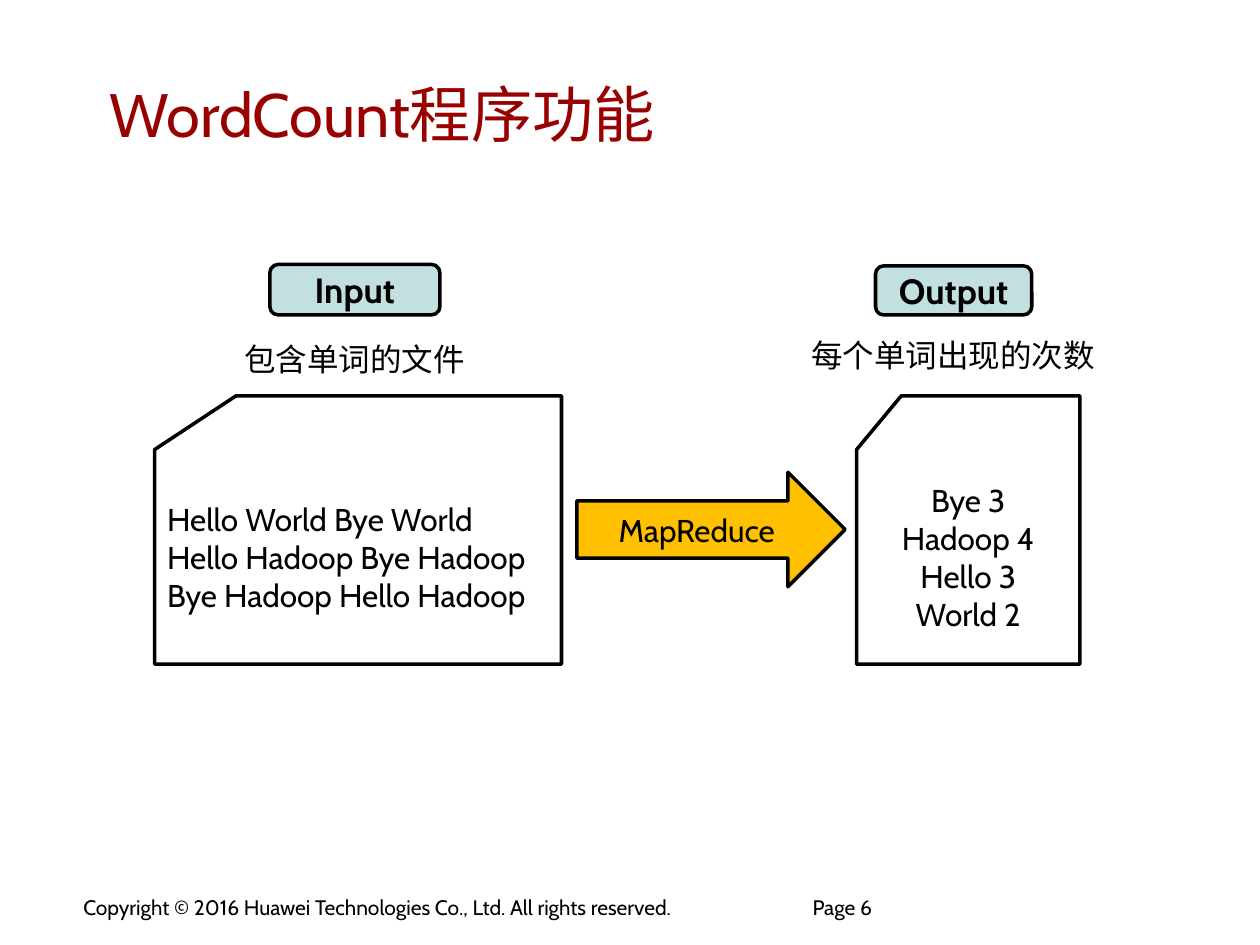
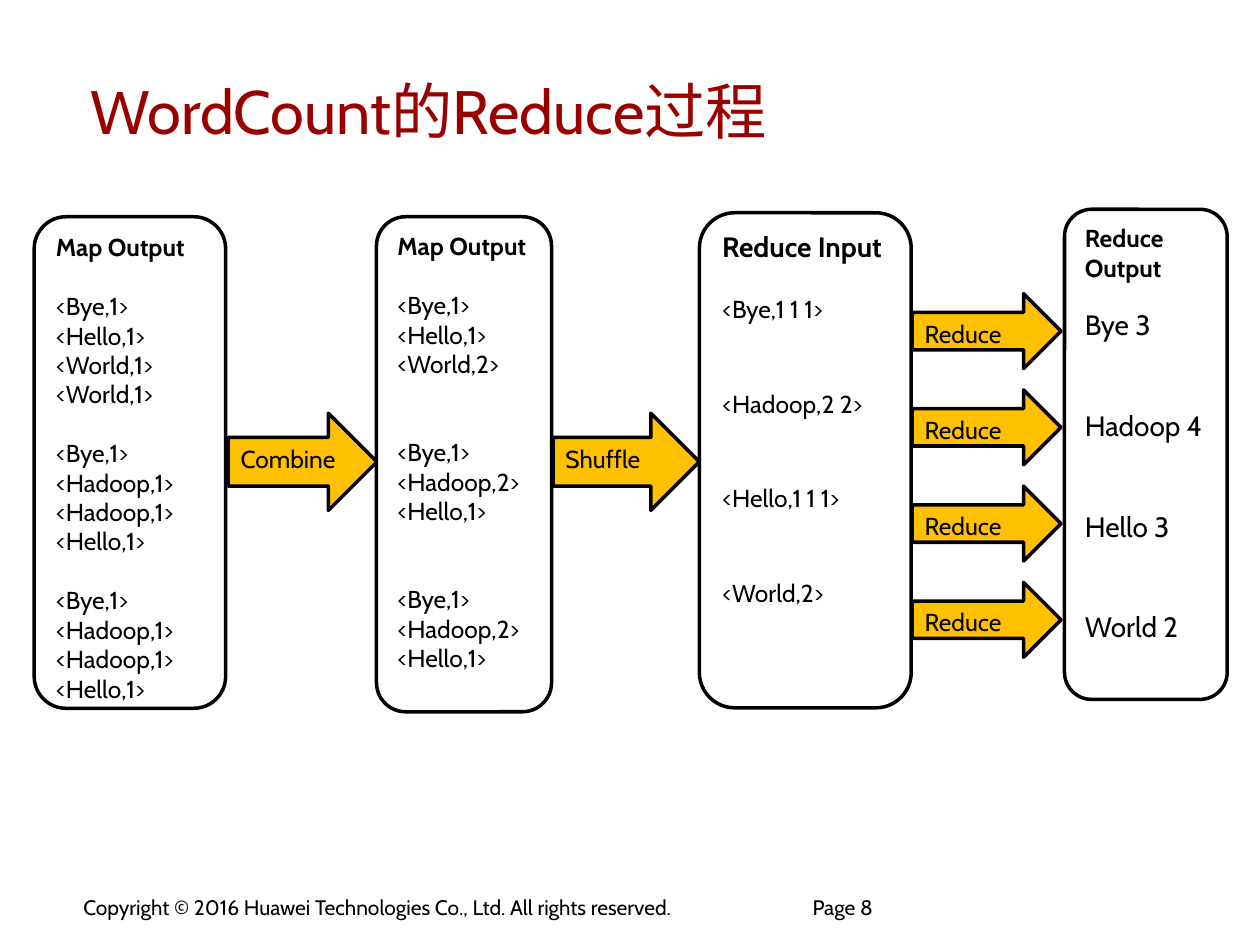
from dataclasses import dataclass

from pptx import Presentation
from pptx import util as u
from pptx.dml.color import RGBColor
from pptx.enum import shapes, text

FONT = "Cabin"
BLACK, WHITE, RED = "000000", "FFFFFF", "990000"
TEAL, AMBER = "C2E0E0", "FFC000"
LEFT, CENTER = text.PP_ALIGN.LEFT, text.PP_ALIGN.CENTER
TOP, MIDDLE = text.MSO_ANCHOR.TOP, text.MSO_ANCHOR.MIDDLE
ROUND = shapes.MSO_SHAPE.ROUNDED_RECTANGLE
CARD = shapes.MSO_SHAPE.FLOWCHART_CARD
ARROW = shapes.MSO_SHAPE.RIGHT_ARROW
COPYRIGHT = "Copyright © 2016 Huawei Technologies Co., Ltd. All rights reserved."
REDUCE_PITCH = 1.94


@dataclass
class Box:
    left: float
    top: float
    width: float
    height: float

    def lengths(self) -> list:
        return [u.Cm(v) for v in (self.left, self.top, self.width, self.height)]


@dataclass
class Line:
    text: str
    size: float = 14
    bold: bool = False
    before: float = 0
    exact: float = 0


@dataclass
class Block:
    kind: shapes.MSO_SHAPE
    box: Box
    fill: str
    lines: list[Line]
    align: text.PP_ALIGN = LEFT
    anchor: text.MSO_ANCHOR = TOP


def rgb(value: str) -> RGBColor:
    return RGBColor.from_string(value)


def write(tf, lines: list[Line], color: str = BLACK, align=LEFT, anchor=TOP) -> None:
    tf.text = "\n".join(line.text for line in lines)
    tf.vertical_anchor = anchor
    for p, line in zip(tf.paragraphs, lines):
        p.alignment = align
        p.space_before = u.Pt(line.before)
        if line.exact:
            p.line_spacing = u.Pt(line.exact)
        for r in p.runs:
            r.font.name = FONT
            r.font.size = u.Pt(line.size)
            r.font.bold = line.bold
            r.font.color.rgb = rgb(color)


def tighten(tf) -> None:
    tf.margin_left = tf.margin_right = u.Cm(0.23)
    tf.margin_top = tf.margin_bottom = u.Cm(0.11)


def add_label(s, box: Box, content: str, size: float):
    tf = s.shapes.add_textbox(*box.lengths()).text_frame
    tf.word_wrap = False
    write(tf, [Line(content, size)])
    return tf


def add_block(s, block: Block) -> None:
    sp = s.shapes.add_shape(block.kind, *block.box.lengths())
    sp.shadow.inherit = False
    sp.fill.solid()
    sp.fill.fore_color.rgb = rgb(block.fill)
    sp.line.color.rgb = rgb(BLACK)
    sp.line.width = u.Pt(2)
    write(sp.text_frame, block.lines, align=block.align, anchor=block.anchor)


def add_slide(prs, title: str, left: float, top: float, page: int):
    s = prs.slides.add_slide(prs.slide_layouts[5])
    sp = s.shapes.title
    sp.left, sp.top, sp.width, sp.height = Box(left, top, 21.51, 2.41).lengths()
    tf = sp.text_frame
    tf.auto_size = text.MSO_AUTO_SIZE.NONE
    tighten(tf)
    write(tf, [Line(title, 35)], RED, anchor=MIDDLE)
    tighten(add_label(s, Box(1.45, 17.93, 14.15, 0.75), COPYRIGHT, 12))
    tighten(add_label(s, Box(16.15, 17.93, 3.6, 0.75), f"Page {page}", 12))
    return s


def pair_groups(groups: list[list[str]], gap: float) -> list[Line]:
    lines = [Line("Map Output", bold=True)]
    for i, group in enumerate(groups):
        for j, pair in enumerate(group):
            before = 0 if j else (gap if i else 16.8)
            lines.append(Line(pair, before=before))
    return lines


def build_function_slide(prs) -> None:
    s = add_slide(prs, "WordCount程序功能", 1.98, 1.07, 6)
    add_label(s, Box(4.67, 6.73, 4.95, 1.02), "包含单词的文件", 18)
    add_label(s, Box(16.1, 6.65, 6.22, 1.02), "每个单词出现的次数", 18)
    source = ["Hello World Bye World", "Hello Hadoop Bye Hadoop", "Bye Hadoop Hello Hadoop"]
    counts = ["Bye 3", "Hadoop 4", "Hello 3", "World 2"]
    for kind, box, fill, words, size, align in (
        (ROUND, Box(5.44, 5.33, 3.43, 1.02), TEAL, ["Input"], 20, CENTER),
        (ROUND, Box(17.65, 5.36, 3.15, 0.99), TEAL, ["Output"], 20, CENTER),
        (CARD, Box(3.12, 7.98, 8.2, 5.41), WHITE, source, 18, LEFT),
        (CARD, Box(17.27, 7.98, 4.5, 5.41), WHITE, counts, 18, CENTER),
        (ARROW, Box(11.63, 9.52, 5.41, 2.31), AMBER, ["MapReduce"], 18, CENTER),
    ):
        lines = [Line(word, size, bold=kind == ROUND) for word in words]
        add_block(s, Block(kind, box, fill, lines, align, MIDDLE))


def build_reduce_slide(prs) -> None:
    s = add_slide(prs, "WordCount的Reduce过程", 1.6, 1.02, 8)
    hadoop_pairs = ["<Bye,1>", "<Hadoop,1>", "<Hadoop,1>", "<Hello,1>"]
    mapped = [["<Bye,1>", "<Hello,1>", "<World,1>", "<World,1>"], hadoop_pairs, hadoop_pairs]
    hadoop_sums = ["<Bye,1>", "<Hadoop,2>", "<Hello,1>"]
    combined = [["<Bye,1>", "<Hello,1>", "<World,2>"], hadoop_sums, hadoop_sums]
    shuffled = ["<Bye,1 1 1>", "<Hadoop,2 2>", "<Hello,1 1 1>", "<World,2>"]
    reduced = ["Bye 3", "Hadoop 4", "Hello 3", "World 2"]
    reduce_input = [Line("Reduce Input", 16, True)] + [
        Line(pair, before=36 if i else 16.8, exact=18) for i, pair in enumerate(shuffled)
    ]
    reduce_output = [Line("Reduce", bold=True), Line("Output", bold=True)] + [
        Line(count, 16, before=38.4 if i else 14.4) for i, count in enumerate(reduced)
    ]
    arrows = [
        (Box(4.6, 8.33, 3, 1.96), "Combine"),
        (Box(11.15, 8.33, 2.95, 1.96), "Shuffle"),
    ] + [(Box(18.39, 5.92 + i * REDUCE_PITCH, 3, 1.51), "Reduce") for i in range(len(reduced))]
    for box, step in arrows:
        add_block(s, Block(ARROW, box, AMBER, [Line(step)]))
    for box, lines in (
        (Box(0.69, 4.37, 3.86, 9.91), pair_groups(mapped, 16.8)),
        (Box(7.59, 4.37, 3.53, 9.98), pair_groups(combined, 33.6)),
        (Box(14.1, 4.29, 4.27, 9.98), reduce_input),
        (Box(21.46, 4.22, 3.28, 9.88), reduce_output),
    ):
        add_block(s, Block(ROUND, box, WHITE, lines))


def main() -> None:
    prs = Presentation()
    prs.slide_width, prs.slide_height = u.Cm(25.4), u.Cm(19.05)
    build_function_slide(prs)
    build_reduce_slide(prs)
    prs.save("out.pptx")


if __name__ == "__main__":
    main()
